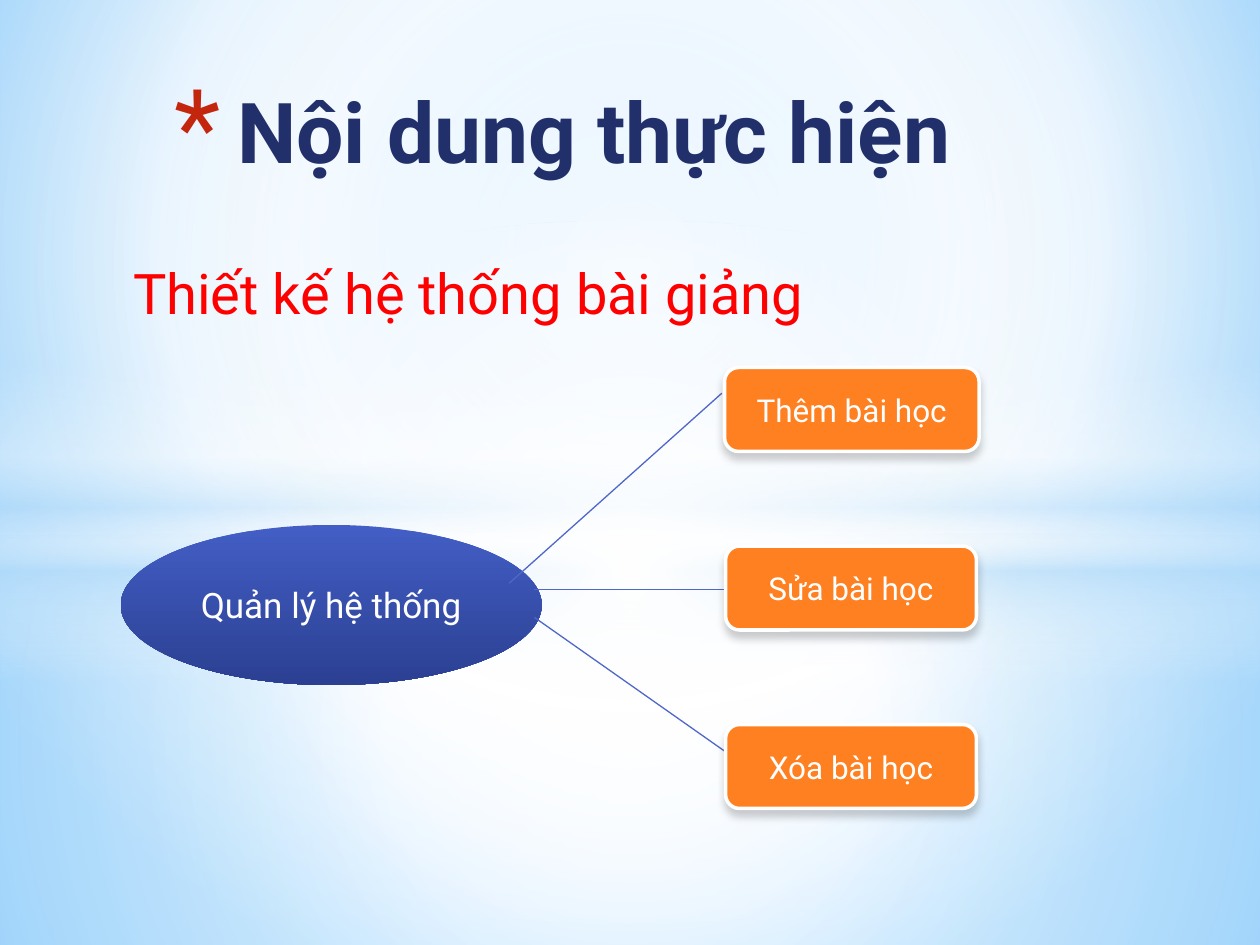
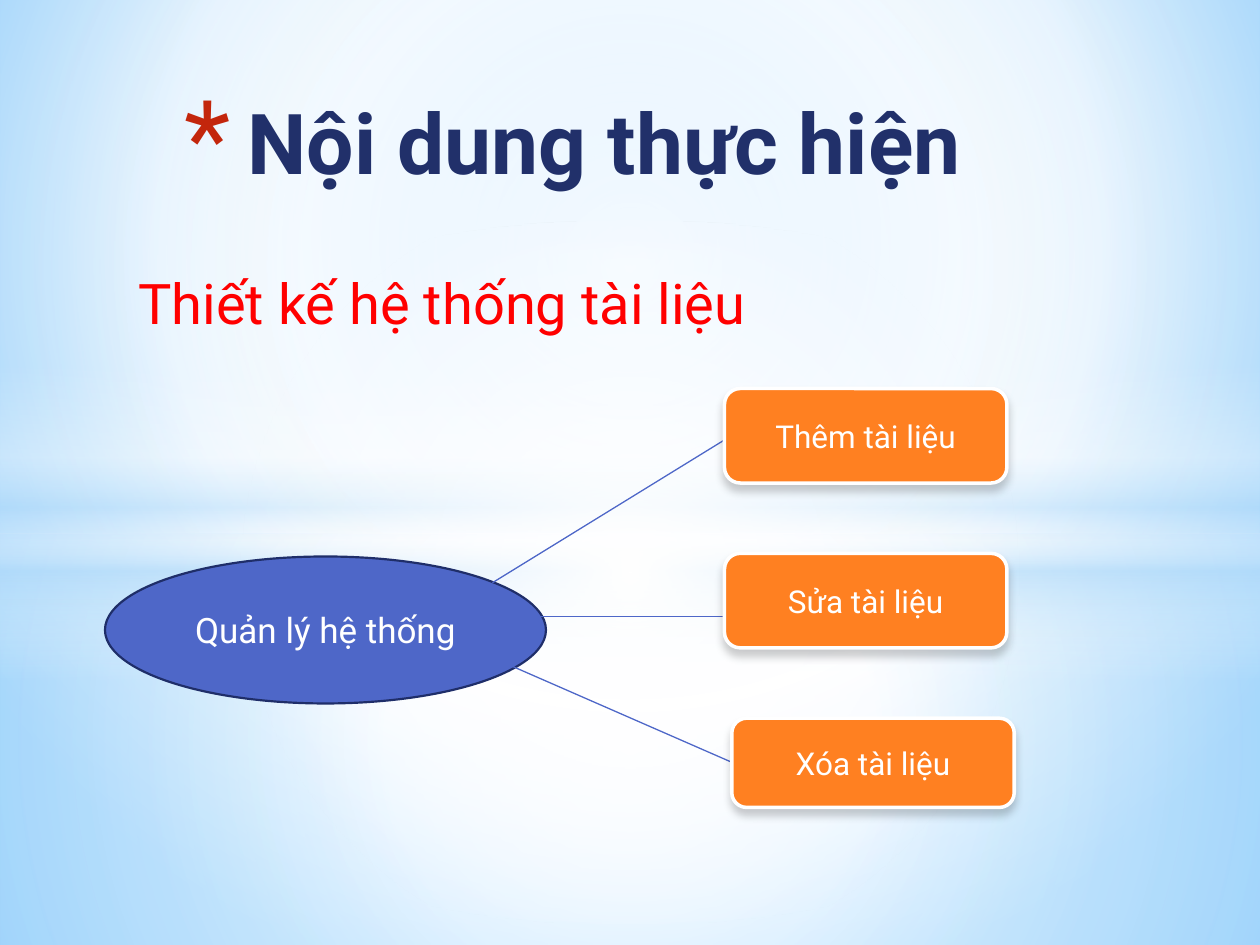
from dataclasses import dataclass

from lxml import etree
from pptx import Presentation
from pptx import util as u
from pptx.dml.color import RGBColor
from pptx.enum import shapes, text
from pptx.oxml import parse_xml
from pptx.oxml.ns import nsdecls, qn


@dataclass(frozen=True)
class Theme:
    font: str = "Roboto"
    white: str = "FFFFFF"
    navy: str = "21306A"
    red: str = "FF0000"
    asterisk: str = "C3260C"
    blue: str = "4E67C8"
    blue_edge: str = "1F2E69"
    blue_light: str = "435EC5"
    blue_dark: str = "2B4092"
    orange: str = "FF8021"
    sky: str = "B4DCFA"
    sky_start: str = "9ED5FF"
    sky_end: str = "5BB9FF"
    title_size: int = 48
    subtitle_size: int = 32
    hub_size: int = 20
    card_size: int = 18


theme = Theme()
deck = Presentation()
deck.slide_width, deck.slide_height = u.Inches(10), u.Inches(7.5)
column = deck.slide_width / 120
row = deck.slide_height / 90


def paint(holder, stops, center=None):
    marks = "".join(
        f'<a:gs pos="{spot * 1000}"><a:srgbClr val="{color}">'
        f'<a:alpha val="{alpha * 1000}"/></a:srgbClr></a:gs>'
        for spot, color, alpha in stops)
    if center:
        sides = " ".join(f'{side}="{share * 1000}"' for side, share in zip("ltrb", center))
        course = f'<a:path path="circle"><a:fillToRect {sides}/></a:path>'
    else:
        course = '<a:lin ang="5400000" scaled="0"/>'
    gradient = parse_xml(f'<a:gradFill {nsdecls("a")} rotWithShape="1">'
                         f'<a:gsLst>{marks}</a:gsLst>{course}</a:gradFill>')
    holder.replace(holder.find(qn("a:solidFill")), gradient)


def write(box, words, size, color, bold=False, centered=False):
    frame = box.text_frame
    frame.word_wrap = True
    frame.text = words
    frame.vertical_anchor = text.MSO_ANCHOR.MIDDLE if centered else text.MSO_ANCHOR.TOP
    para = frame.paragraphs[0]
    para.alignment = text.PP_ALIGN.CENTER if centered else text.PP_ALIGN.LEFT
    span = para.runs[0]
    span.font.name, span.font.size, span.font.bold = theme.font, u.Pt(size), bold
    span.font.color.rgb = RGBColor.from_string(color)
    return para


middle = (50, 50, 50, 50)
rectangle, oval = shapes.MSO_SHAPE.RECTANGLE, shapes.MSO_SHAPE.OVAL
sky_stops = [(0, theme.sky_start, 100), (60, theme.white, 100), (100, theme.sky_end, 100)]
bands = [
    (rectangle, 50.8, 39.2, middle,
     [(0, theme.white, 91), (37, theme.white, 76), (100, theme.sky, 79)]),
    (rectangle, 0, 50.8, middle,
     [(0, theme.white, 89), (48, theme.white, 62), (100, theme.sky, 79)]),
    (rectangle, 34.8, 30, None,
     [(0, theme.white, 0), (29, theme.white, 30), (45, theme.sky, 40),
      (55, theme.white, 26), (65, theme.sky, 60), (100, theme.white, 0)]),
    (oval, 21, 67, middle, [(0, theme.white, 100), (54, theme.white, 0)]),
]

topics = [
    {
        "subtitle": "Thiết kế hệ thống bài giảng",
        "subtitle_area": (11.5, 24, 97, 58),
        "title_area": (13, 7, 94.2, 15),
        "hub_area": (11.5, 50, 40.1, 15.25),
        "hub_outlined": False,
        "first_row": 35, "row_step": 17,
        "cards": [("Thêm bài học", 69, 24.25, 8),
                  ("Sửa bài học", 69.1, 23.9, 8),
                  ("Xóa bài học", 69.1, 23.9, 8)],
        "links": [(48.5, 55.55, 68.75, 37.45),
                  (50.9, 56.15, 69.1, 56.15),
                  (50.9, 58.8, 69.1, 71.6)],
    },
    {
        "subtitle": "Thiết kế hệ thống tài liệu",
        "subtitle_area": (12, 25, 98, 53),
        "title_area": (14, 8, 94.2, 17),
        "hub_area": (10, 53, 42, 14),
        "hub_outlined": True,
        "first_row": 37, "row_step": 15.7,
        "cards": [("Thêm tài liệu", 69, 26.9, 9),
                  ("Sửa tài liệu", 69, 26.9, 9),
                  ("Xóa tài liệu", 69.7, 26.9, 8.5)],
        "links": [(46.9, 55.5, 69, 41.9),
                  (50.2, 58.75, 69, 58.75),
                  (46.6, 62.5, 69.7, 72.6)],
    },
]

for topic in topics:
    page = deck.slides.add_slide(deck.slide_layouts[6])
    page.background.fill.solid()
    paint(page.element.find(".//" + qn("p:bgPr")), sky_stops, (20, 10, 20, 60))

    for kind, top, height, center, stops in bands:
        band = page.shapes.add_shape(kind, 0, int(top * row), deck.slide_width, int(height * row))
        band.shadow.inherit = False
        band.line.fill.background()
        band.fill.solid()
        paint(band.element.spPr, stops, center)

    units = (column, row, column, row)
    areas = {name: [int(length * unit) for length, unit in zip(topic[name], units)]
             for name in ("subtitle_area", "title_area", "hub_area")}
    subtitle = page.shapes.add_textbox(*areas["subtitle_area"])
    write(subtitle, topic["subtitle"], theme.subtitle_size, theme.red)

    title = page.shapes.add_textbox(*areas["title_area"])
    para = write(title, "Nội dung thực hiện", theme.title_size, theme.navy, bold=True)
    layout = para._p.get_or_add_pPr()
    layout.set("marL", str(u.Inches(0.7)))
    layout.set("indent", str(u.Inches(-0.5)))
    bullet_color = etree.SubElement(layout, qn("a:buClr"))
    etree.SubElement(bullet_color, qn("a:srgbClr"), val=theme.asterisk)
    etree.SubElement(layout, qn("a:buSzPct"), val="128000")
    etree.SubElement(layout, qn("a:buFont"), typeface=theme.font)
    etree.SubElement(layout, qn("a:buChar"), char="*")

    hub = page.shapes.add_shape(oval, *areas["hub_area"])
    hub.shadow.inherit = False
    hub.fill.solid()
    if topic["hub_outlined"]:
        hub.fill.fore_color.rgb = RGBColor.from_string(theme.blue)
        hub.line.color.rgb = RGBColor.from_string(theme.blue_edge)
        hub.line.width = u.Pt(1.25)
    else:
        paint(hub.element.spPr, [(0, theme.blue_light, 100), (100, theme.blue_dark, 100)])
        hub.line.fill.background()
    write(hub, "Quản lý hệ thống", theme.hub_size, theme.white, centered=True)

    for start_x, start_y, end_x, end_y in topic["links"]:
        link = page.shapes.add_connector(
            shapes.MSO_CONNECTOR.STRAIGHT, int(start_x * column), int(start_y * row),
            int(end_x * column), int(end_y * row))
        link.line.color.rgb = RGBColor.from_string(theme.blue)
        link.line.width = u.Pt(0.75)
        etree.SubElement(link.element.spPr, qn("a:effectLst"))

    for index, (label, left, width, height) in enumerate(topic["cards"]):
        top = topic["first_row"] + index * topic["row_step"]
        card = page.shapes.add_shape(
            shapes.MSO_SHAPE.ROUNDED_RECTANGLE, int(left * column), int(top * row),
            int(width * column), int(height * row))
        card.fill.solid()
        card.fill.fore_color.rgb = RGBColor.from_string(theme.orange)
        card.line.color.rgb = RGBColor.from_string(theme.white)
        card.line.width = u.Pt(2)
        card.shadow.inherit = False
        shadow = etree.SubElement(
            card.element.spPr.find(qn("a:effectLst")), qn("a:outerShdw"),
            blurRad=str(u.Pt(5)), dist=str(u.Pt(4)), dir="5400000", rotWithShape="0")
        shade = etree.SubElement(shadow, qn("a:srgbClr"), val="000000")
        etree.SubElement(shade, qn("a:alpha"), val="20000")
        write(card, label, theme.card_size, theme.white, centered=True)

deck.save("out.pptx")
